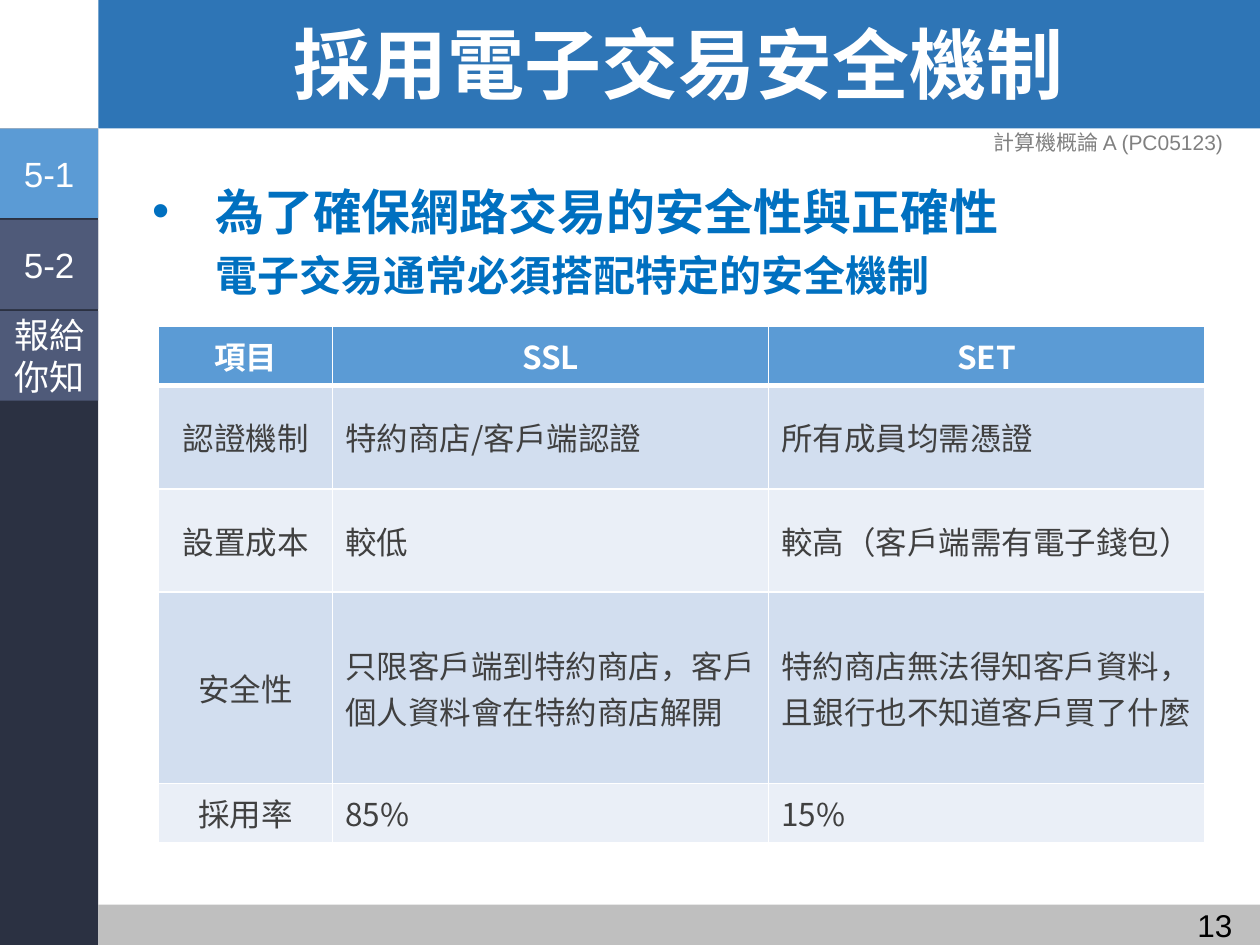
from dataclasses import dataclass
from lxml.etree import SubElement
from pptx import Presentation
from pptx.dml.color import RGBColor
from pptx.enum.shapes import MSO_SHAPE
from pptx.enum.text import MSO_ANCHOR, PP_ALIGN
from pptx.oxml.ns import qn
from pptx.slide import Slide
from pptx.util import Inches, Pt

COLORS = {
    "white": "FFFFFF", "black": "000000", "banner": "2E75B6", "footer": "BFBFBF",
    "sidebar": "2B3142", "active": "5B9BD5", "tab": "4F5A79", "heading": "0070C0",
    "course": "808080", "cell": "404040", "odd": "D2DEEF", "even": "EAEFF7",
}
COLS, ROWS = 100, 75
SIDE, TOP = 7.8, 10.2
TABS = [("5-1", "active"), ("5-2", "tab"), ("報給\n你知", "tab")]
TAB_STEP = 7.25
COMPARISON = [
    ("項目", "SSL", "SET"),
    ("認證機制", "特約商店/客戶端認證", "所有成員均需憑證"),
    ("設置成本", "較低", "較高（客戶端需有電子錢包）"),
    ("安全性", "只限客戶端到特約商店，客戶個人資料會在特約商店解開",
     "特約商店無法得知客戶資料，且銀行也不知道客戶買了什麼"),
    ("採用率", "85%", "15%"),
]


def rgb(name):
    """Return the named palette colour."""
    return RGBColor.from_string(COLORS[name])


@dataclass
class Deck:
    """Hold the style, the current slide and a grid of 100 columns by 75 rows."""
    prs: object
    s: Slide
    font: str = "Arial"
    table_font: str = "Noto Sans CJK SC"

    def box(self, x, y, w, h):
        """Turn grid columns and rows into slide lengths."""
        cw, rh = self.prs.slide_width / COLS, self.prs.slide_height / ROWS
        return int(x * cw), int(y * rh), int(w * cw), int(h * rh)

    def style(self, p, size, color, align, bold=False, font=None):
        """Set the look of one paragraph."""
        p.alignment = align
        p.font.name = font or self.font
        p.font.size, p.font.bold = Pt(size), bold
        p.font.color.rgb = rgb(color)

    def rect(self, place, fill):
        """Add a plain filled rectangle."""
        sp = self.s.shapes.add_shape(MSO_SHAPE.RECTANGLE, *self.box(*place))
        sp.shadow.inherit = False
        sp.fill.solid()
        sp.fill.fore_color.rgb = rgb(fill)
        sp.line.fill.background()
        return sp

    def tab(self, place, text, fill):
        """Add a sidebar tab with a centred label."""
        tf = self.rect(place, fill).text_frame
        tf.word_wrap = False
        tf.vertical_anchor = MSO_ANCHOR.MIDDLE
        tf.margin_left = tf.margin_right = tf.margin_top = tf.margin_bottom = Inches(0.04)
        tf.text = text
        for p in tf.paragraphs:
            self.style(p, 20, "white", PP_ALIGN.CENTER)

    def text(self, place, text, size, color, align, anchor=MSO_ANCHOR.TOP, **look):
        """Add a wrapped text box and return its paragraphs."""
        tf = self.s.shapes.add_textbox(*self.box(*place)).text_frame
        tf.word_wrap = True
        tf.vertical_anchor = anchor
        tf.text = text
        for p in tf.paragraphs:
            self.style(p, size, color, align, **look)
        return tf.paragraphs

    def body(self, place, heading, detail):
        """Add a bulleted heading with an indented line below it."""
        tf = self.s.shapes.add_textbox(*self.box(*place)).text_frame
        tf.word_wrap = True
        tf.text = f"{heading}\n{detail}"
        first, second = tf.paragraphs
        for p, indent in ((first, -0.5), (second, 0)):
            pPr = p._p.get_or_add_pPr()
            pPr.set("marL", str(Inches(0.5)))
            pPr.set("indent", str(Inches(indent)))
        SubElement(first._p.pPr, qn("a:buFont"), typeface=self.font)
        SubElement(first._p.pPr, qn("a:buChar"), char="•")
        self.style(first, 28, "heading", PP_ALIGN.JUSTIFY, bold=True)
        self.style(second, 24, "heading", PP_ALIGN.JUSTIFY, bold=True)
        first.line_spacing = Pt(38)
        second.space_before = Pt(5)

    def border(self, cell, side, width):
        """Draw one white cell border."""
        ln = SubElement(cell._tc.get_or_add_tcPr(), qn(f"a:ln{side}"), w=str(Pt(width)))
        fill = SubElement(ln, qn("a:solidFill"))
        SubElement(fill, qn("a:srgbClr"), val=COLORS["white"])

    def table(self, place, rows, widths, heights):
        """Add a banded table with a bold header row."""
        frame = self.s.shapes.add_table(len(rows), len(widths), *self.box(*place))
        tbl = frame.table
        for col, w in zip(tbl.columns, widths):
            col.width = self.box(0, 0, w, 0)[2]
        for row, h in zip(tbl.rows, heights):
            row.height = self.box(0, 0, 0, h)[3]
        for i, row in enumerate(rows):
            for j, text in enumerate(row):
                self.cell(tbl.cell(i, j), text, i, j)

    def cell(self, cell, text, i, j):
        """Fill one table cell according to its row and column."""
        header = i == 0
        for side in "LRTB":
            thick = (header and side == "B") or (i == 1 and side == "T")
            self.border(cell, side, 3 if thick else 1)
        cell.fill.solid()
        cell.fill.fore_color.rgb = rgb("active" if header else "odd" if i % 2 else "even")
        cell.vertical_anchor = MSO_ANCHOR.TOP if header else MSO_ANCHOR.MIDDLE
        cell.text = text
        align = PP_ALIGN.CENTER if header or j == 0 else PP_ALIGN.LEFT
        self.style(cell.text_frame.paragraphs[0], 18, "white" if header else "cell",
                   align, bold=header, font=self.table_font)


def main():
    """Build and save the slide."""
    prs = Presentation()
    prs.slide_width, prs.slide_height = Inches(10), Inches(7.5)
    deck = Deck(prs, prs.slides.add_slide(prs.slide_layouts[6]))
    main_width = COLS - SIDE

    deck.rect((SIDE, 0, main_width, TOP), "banner")
    deck.rect((SIDE, 71.8, main_width, 3.2), "footer")
    deck.rect((0, TOP, SIDE, ROWS - TOP), "sidebar")
    title, = deck.text((SIDE, 0.3, main_width, TOP), "採用電子交易安全機制", 44, "white",
                       PP_ALIGN.CENTER, MSO_ANCHOR.MIDDLE, bold=True, font="Montserrat")
    title.line_spacing = 0.9
    deck.body((11.1, 13.3, 86, 56.1), "為了確保網路交易的安全性與正確性",
              "電子交易通常必須搭配特定的安全機制")
    deck.text((88.2, 71.4, 10.6, 4), "13", 18, "black", PP_ALIGN.RIGHT)
    deck.text((75.9, 9.3, 24.1, 4), "計算機概論 A (PC05123)", 12, "course",
              PP_ALIGN.CENTER, MSO_ANCHOR.MIDDLE)
    for i, (label, fill) in enumerate(TABS):
        deck.tab((0, TOP + i * TAB_STEP, SIDE, 7.1), label, fill)
    deck.table((12.6, 25.9, 83, 41), COMPARISON, (13.8, 34.6, 34.6),
               (4.7, 8.2, 8.2, 15.2, 4.7))
    prs.save("out.pptx")


if __name__ == "__main__":
    main()
